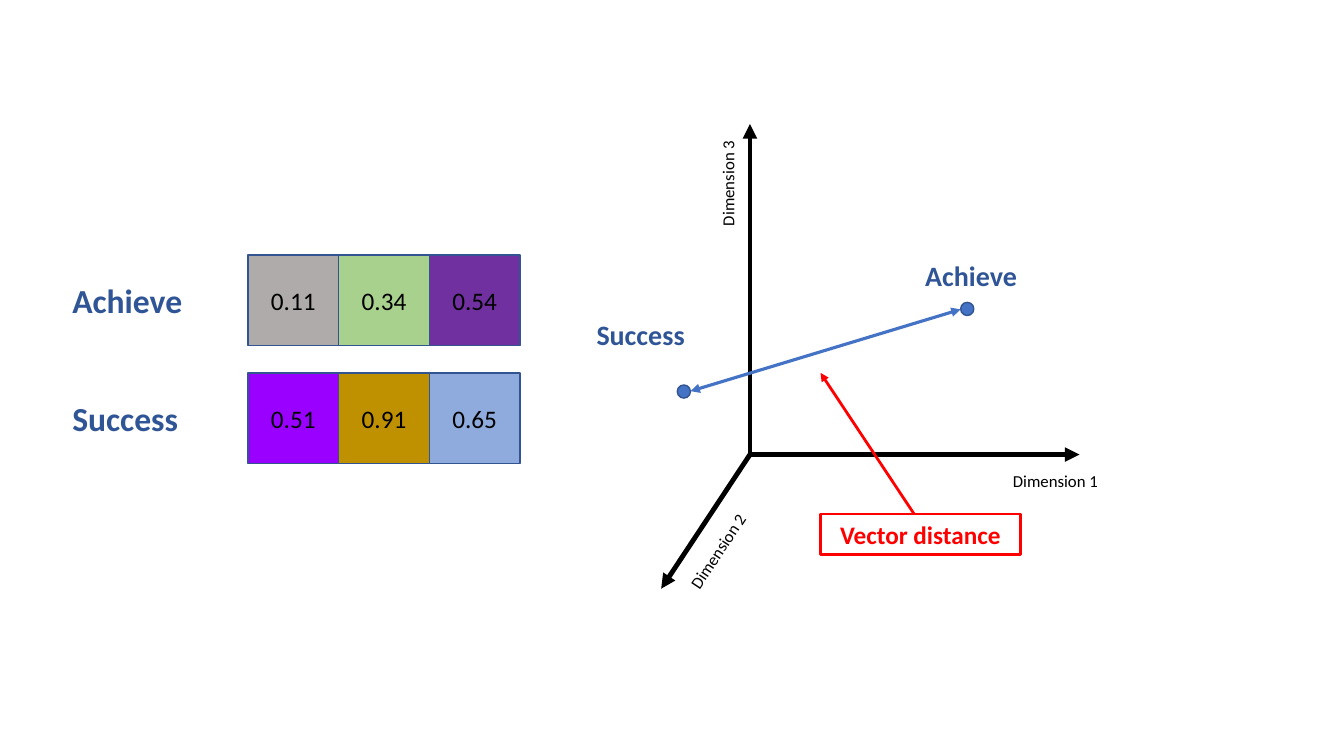
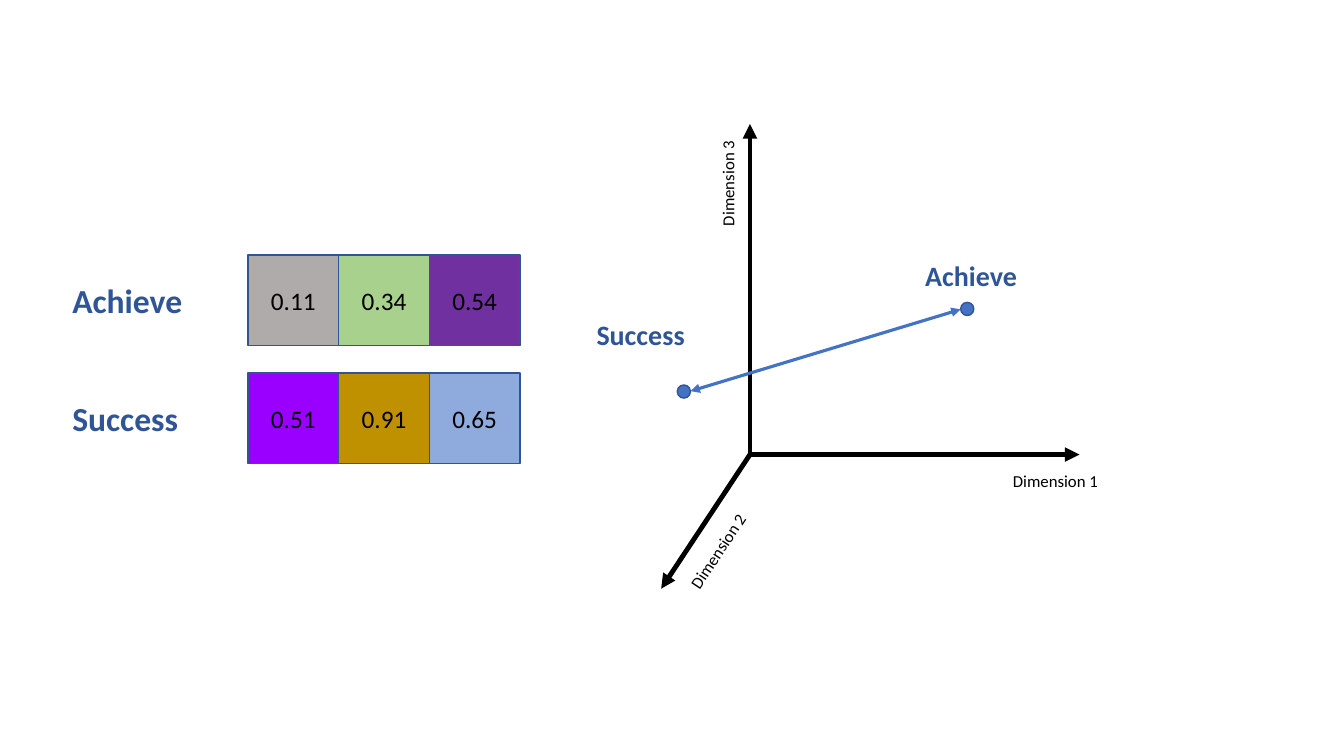
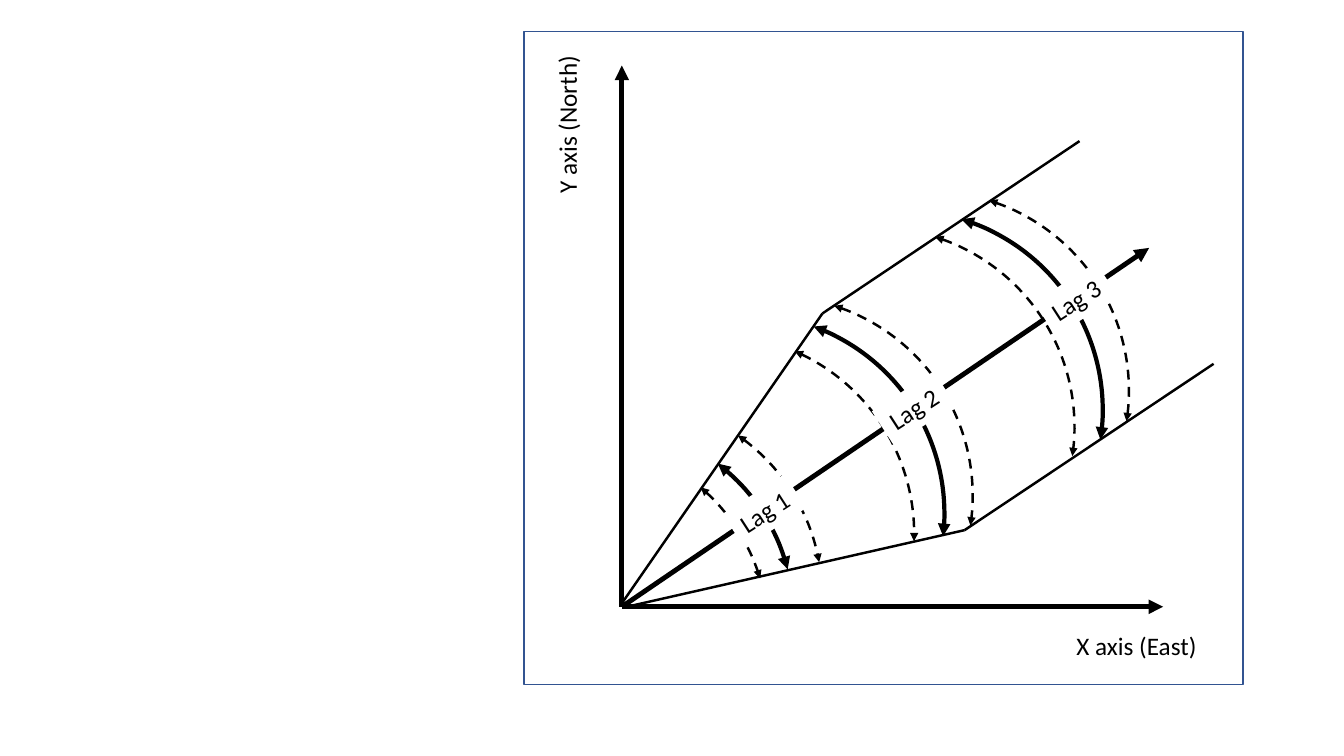
from lxml.etree import SubElement
from pptx import Presentation
from pptx.dml.color import RGBColor
from pptx.enum.dml import MSO_LINE as Dash
from pptx.enum.shapes import MSO_CONNECTOR as Connector, MSO_SHAPE as Preset
from pptx.enum.text import MSO_ANCHOR as Anchor, MSO_AUTO_SIZE as AutoSize, PP_ALIGN as Align
from pptx.oxml.ns import qn
from pptx.util import Pt

FONT = "Calibri"
BLACK, WHITE, RED = "000000", "FFFFFF", "FF0000"
BLUE, NAVY, OUTLINE = "4472C4", "2F5597", "325491"
AXIS_WIDTH = 3.5
HEADING = {"color": NAVY, "bold": True}

CELL = 64.8
CELL_LEFT = 177.1
VECTORS = [
    ("Achieve", 182.2, [("0.11", "AFABAB"), ("0.34", "A9D18E"), ("0.54", "7030A0")]),
    ("Success", 266.4, [("0.51", "9900FF"), ("0.91", "BF9000"), ("0.65", "8FAADC")]),
]
SPACE_ORIGIN = (535.7, 324.7)
SPACE_AXES = [
    ((771.1, 324.7), "Dimension 1", (716.4, 332.6), 0),
    ((535.7, 88.6), "Dimension 3", (481, 118.8), 270),
    ((472.3, 420.5), "Dimension 2", (474.5, 381.6), 303.7),
]
DOT = 9.4
WORD_POINTS = [
    ("Achieve", (686.2, 216), (653.8, 181.4)),
    ("Success", (483.8, 275), (419, 223.2)),
]

MAP_ORIGIN = (444.2, 433.4)
MAP_ARROW_ENDS = [(830.9, 433.4), (444.2, 46.8), (820.8, 177.1)]
UPPER_BEND, LOWER_BEND = (587.5, 223.9), (689, 378.7)
SEARCH_EDGES = [
    (UPPER_BEND, (771.1, 100.8)),
    (LOWER_BEND, (866.9, 259.9)),
    ((445, 429.8), UPPER_BEND),
    ((447.8, 433.4), LOWER_BEND),
]
ARC_SIZE = 284.4
ARC_ROTATION = 28.2
SOLID, DASHED = {"width": 3}, {"width": 1.75, "dash": Dash.DASH}
LAG_ARCS = [
    (265, 313.2, 282.82, 314.52, DASHED),
    (283, 301, 279.8, 316.9, SOLID),
    (303.1, 285.1, 276.92, 321.36, DASHED),
    (368.6, 239, 265.4, 333.98, DASHED),
    (390.2, 224.6, 261.86, 338.36, SOLID),
    (410.4, 211.7, 259.49, 340.46, DASHED),
    (483.1, 162.7, 259.28, 340.25, DASHED),
    (503.3, 150.5, 258.69, 340.46, SOLID),
    (522, 136.8, 259.11, 340.66, DASHED),
]
LAG_LABELS = [("Lag 1", 519.8, 350.6), ("Lag 2", 626.4, 277.2), ("Lag 3", 742.3, 199.4)]


def rgb(value):
    """Turn a hex string into a colour."""
    return RGBColor.from_string(value)


def set_format(target, values):
    """Set each named value on the target."""
    for name, value in values.items():
        setattr(target, name, value)


def set_line(item, color, width, dash=None, ends=()):
    """Style an outline and add arrowheads at the named ends."""
    item.line.color.rgb = rgb(color)
    set_format(item.line, {"width": Pt(width), "dash_style": dash})
    for end in ends:
        SubElement(item.line._get_or_add_ln(), qn(f"a:{end}End"), type="triangle")


def write(shape, text, size, color=BLACK, bold=False, align=Align.LEFT,
          anchor=Anchor.TOP, grow=True):
    """Put one formatted paragraph in a shape."""
    frame = shape.text_frame
    set_format(frame, {
        "word_wrap": True,
        "vertical_anchor": anchor,
        "auto_size": AutoSize.SHAPE_TO_FIT_TEXT if grow else AutoSize.NONE,
    })
    if align == Align.LEFT:
        frame.margin_right = 0
    paragraph = frame.paragraphs[0]
    paragraph.alignment = align
    run = paragraph.add_run()
    run.text = text
    set_format(run.font, {"name": FONT, "size": Pt(size), "bold": bold})
    run.font.color.rgb = rgb(color)


def add_label(slide, text, box, size, rotation=0, **style):
    """Add a text box."""
    label = slide.shapes.add_textbox(*map(Pt, box))
    label.rotation = rotation
    write(label, text, size, **style)


def add_preset(slide, preset, box, fill=None, line=None, rotation=0):
    """Add a preset shape with an optional fill and outline."""
    shape = slide.shapes.add_shape(preset, *map(Pt, box))
    set_format(shape, {"rotation": rotation})
    shape.shadow.inherit = False
    if fill:
        shape.fill.solid()
        shape.fill.fore_color.rgb = rgb(fill)
    else:
        shape.fill.background()
    if line:
        set_line(shape, **line)
    else:
        shape.line.fill.background()
    return shape


def add_line(slide, start, end, width, color=BLACK, ends=()):
    """Add a straight connector."""
    connector = slide.shapes.add_connector(Connector.STRAIGHT, *map(Pt, (*start, *end)))
    set_line(connector, color, width, ends=ends)
    SubElement(connector._element.spPr, qn("a:effectLst"))


def add_arc(slide, left, top, start, end, style):
    """Add a double-headed arc between two angles in degrees."""
    line = {"color": BLACK, "ends": ("head", "tail"), **style}
    arc = add_preset(slide, Preset.ARC, (left, top, ARC_SIZE, ARC_SIZE),
                     line=line, rotation=ARC_ROTATION)
    for index, angle in enumerate((start, end)):
        arc.adjustments[index] = angle * 0.6


def add_vector(slide, word, top, cells):
    """Add a word and its row of coloured values."""
    add_label(slide, word, (44.6, top + 14.2, 115.2, 36), 24, **HEADING)
    for column, (value, fill) in enumerate(cells):
        box = (CELL_LEFT + column * CELL, top, CELL, CELL)
        cell = add_preset(slide, Preset.RECTANGLE, box, fill, {"color": OUTLINE, "width": 1})
        write(cell, value, 18, align=Align.CENTER, anchor=Anchor.MIDDLE, grow=False)


def add_vector_space(slide):
    """Add the three axes, the two word points and the arrow between them."""
    for end, name, corner, rotation in SPACE_AXES:
        add_line(slide, SPACE_ORIGIN, end, AXIS_WIDTH, ends=("tail",))
        add_label(slide, name, (*corner, 77.8, 21.6), 12, rotation)
    for word, dot, corner in WORD_POINTS:
        add_preset(slide, Preset.OVAL, (*dot, DOT, DOT), BLUE, {"color": OUTLINE, "width": 1})
        add_label(slide, word, (*corner, 90, 31.7), 20, **HEADING)
    add_line(slide, (493.2, 279.4), (686.2, 221), 2.25, BLUE, ("head", "tail"))


def add_distance_callout(slide):
    """Add the red box and arrow that name the distance."""
    add_line(slide, (653, 367.2), (586.1, 266.4), 2, RED, ("tail",))
    callout = add_preset(slide, Preset.RECTANGLE, (586.1, 367.2, 142.6, 28.8),
                         line={"color": RED, "width": 2})
    write(callout, "Vector distance", 18, RED, True, Align.CENTER)


def build_vector_slide(slide, callout):
    """Build the word vector slide, with or without its callout."""
    for vector in VECTORS:
        add_vector(slide, *vector)
    add_vector_space(slide)
    if callout:
        add_distance_callout(slide)


def build_lag_slide(slide):
    """Build the framed diagram of the lag search area."""
    for end in MAP_ARROW_ENDS:
        add_line(slide, MAP_ORIGIN, end, AXIS_WIDTH, ends=("tail",))
    for start, end in SEARCH_EDGES:
        add_line(slide, start, end, 1.75)
    add_label(slide, "X axis (East)", (761.8, 446.4, 117.4, 28.8), 18)
    add_label(slide, "Y axis (North)", (346.3, 72, 117.4, 28.8), 18, 270)
    for arc in LAG_ARCS:
        add_arc(slide, *arc)
    for text, left, top in LAG_LABELS:
        label = add_preset(slide, Preset.RECTANGLE, (left, top, 52.6, 28.8), WHITE, rotation=327.1)
        write(label, text, 18)
    add_preset(slide, Preset.RECTANGLE, (374.4, 22.3, 513.4, 466.6),
               line={"color": OUTLINE, "width": 1})


def main():
    """Build and save the presentation."""
    presentation = Presentation()
    set_format(presentation, {"slide_width": Pt(960), "slide_height": Pt(540)})
    blank = presentation.slide_layouts[6]
    for callout in (True, False):
        build_vector_slide(presentation.slides.add_slide(blank), callout)
    build_lag_slide(presentation.slides.add_slide(blank))
    presentation.save("out.pptx")


if __name__ == "__main__":
    main()
